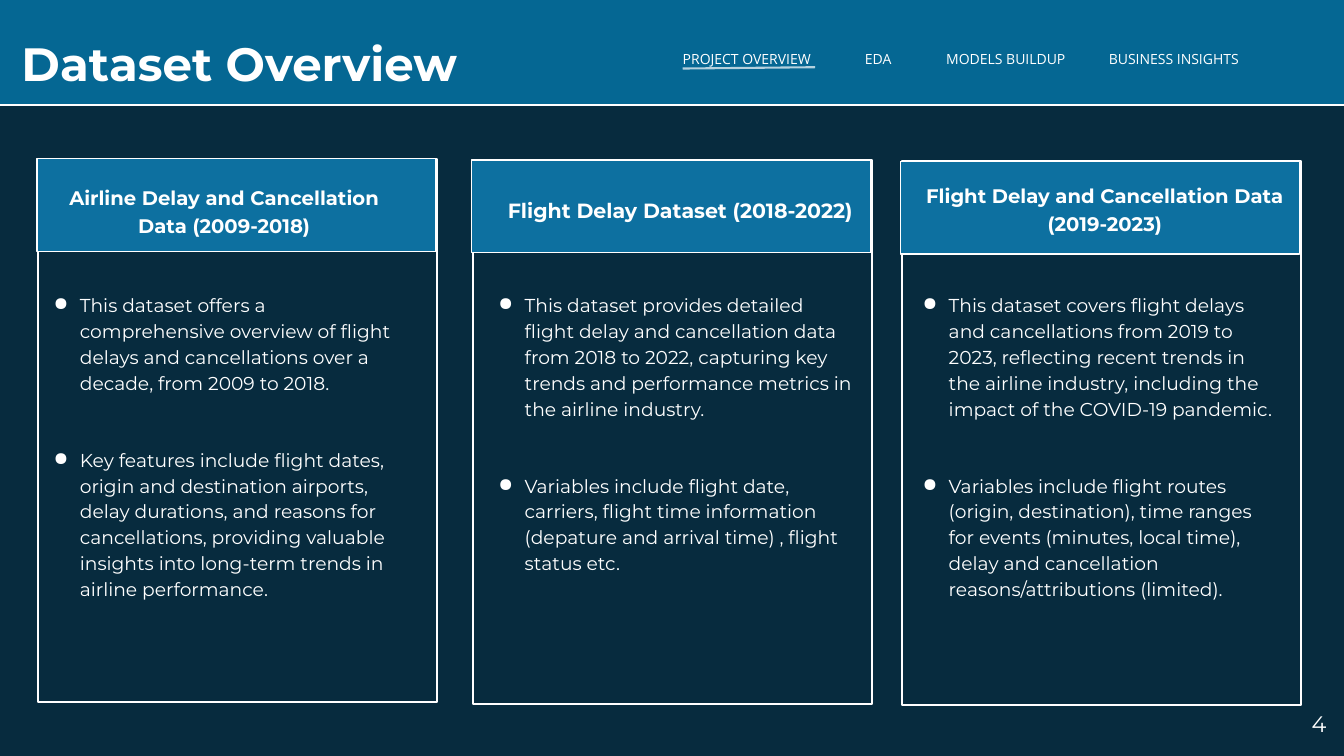
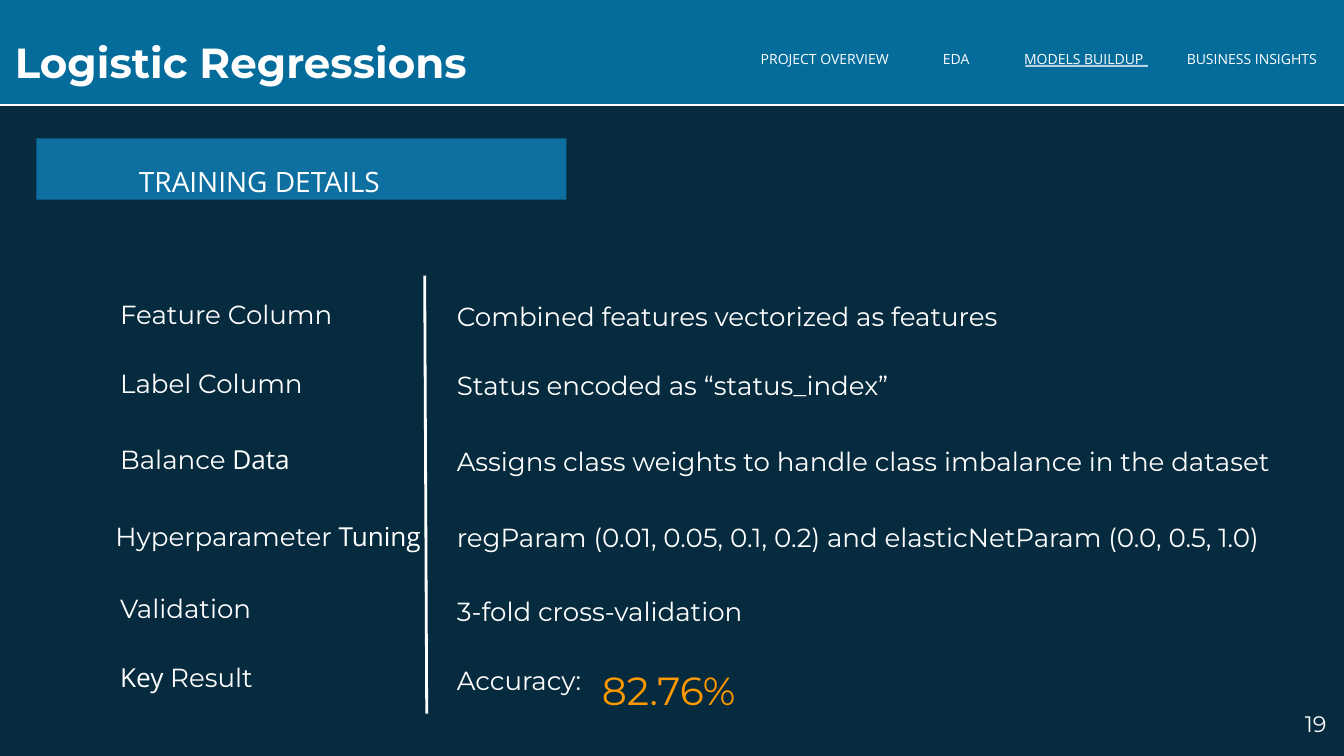
import lxml.etree
import pptx
import pptx.dml.color
import pptx.enum.shapes
import pptx.enum.text
import pptx.oxml.ns
import pptx.util

PX = 9144
WIDTH, HEIGHT = 2000, 1125
BAND = 157
COLORS = {"white": "FFFFFF", "body": "072B3E", "panel": "0D70A0", "accent": "FF9900",
          "overview_band": "056793", "models_band": "036C9B"}
HEAD, PLAIN = "Montserrat", "Open Sans"
NAV = ["PROJECT OVERVIEW", "EDA", "MODELS BUILDUP", "BUSINESS INSIGHTS"]
NAV_TABS = [271, 392, 634]
ALIGN = {"l": pptx.enum.text.PP_ALIGN.LEFT, "c": pptx.enum.text.PP_ALIGN.CENTER,
         "r": pptx.enum.text.PP_ALIGN.RIGHT}

CARDS = [
    {"x": 57, "y": 236, "title": "Airline Delay and Cancellation Data (2009-2018)",
     "title_box": (72, 259, 523, 98), "size": 21, "align": "c", "list_x": 59,
     "points": ["This dataset offers a comprehensive overview of flight delays and cancellations "
                "over a decade, from 2009 to 2018.",
                "Key features include flight dates, origin and destination airports, delay "
                "durations, and reasons for cancellations, providing valuable insights into "
                "long-term trends in airline performance."]},
    {"x": 704, "y": 238, "title": "Flight Delay Dataset (2018-2022)",
     "title_box": (746, 277, 560, 57), "size": 22, "align": "l", "list_x": 721,
     "points": ["This dataset provides detailed flight delay and cancellation data from 2018 to "
                "2022, capturing key trends and performance metrics in the airline industry.",
                "Variables include flight date, carriers, flight time information (depature and "
                "arrival time) , flight status etc."]},
    {"x": 1342, "y": 240, "title": "Flight Delay and Cancellation Data (2019-2023)",
     "title_box": (1347, 256, 594, 98), "size": 21, "align": "c", "list_x": 1352,
     "points": ["This dataset covers flight delays and cancellations from 2019 to 2023, "
                "reflecting recent trends in the airline industry, including the impact of the "
                "COVID-19 pandemic.",
                "Variables include flight routes (origin, destination), time ranges for events "
                "(minutes, local time), delay and cancellation reasons/attributions (limited)."]},
]

DETAILS = [
    (416, 418, "Feature Column", "Combined features vectorized as features"),
    (518, 521, "Label Column", "Status encoded as “status_index”"),
    (631, 634, [("Balance", HEAD), (" Data", PLAIN)],
     "Assigns class weights to handle class imbalance in the dataset"),
    (746, 747, [("Hyperparameter", HEAD), (" Tuning", PLAIN)],
     "regParam (0.01, 0.05, 0.1, 0.2) and elasticNetParam (0.0, 0.5, 1.0)"),
    (853, 858, "Validation", "3-fold cross-validation"),
    (955, 960, [("Key ", PLAIN), ("Result", HEAD)], "Accuracy:"),
]


def rgb(name):
    return pptx.dml.color.RGBColor.from_string(COLORS[name])


def add_xml(parent, tag, **attrs):
    return lxml.etree.SubElement(parent, pptx.oxml.ns.qn(tag), attrs)


def write(p, text, size=20, font=HEAD, color="white", bold=False, align="l",
          spacing=None, before=None, bullet=None, tabs=()):
    pPr = p._p.get_or_add_pPr()
    if bullet:
        pPr.set("marL", str(50 * PX))
        pPr.set("indent", str(-39 * PX))
        add_xml(add_xml(pPr, "a:buClr"), "a:srgbClr", val=COLORS[color])
        add_xml(pPr, "a:buChar", char=bullet)
    if tabs:
        tab_list = add_xml(pPr, "a:tabLst")
        for stop in tabs:
            add_xml(tab_list, "a:tab", pos=str(stop * PX), algn="l")
    p.alignment = ALIGN[align]
    if spacing:
        p.line_spacing = spacing
    if before:
        p.space_before = pptx.util.Pt(before)
    for words, face in [(text, font)] if isinstance(text, str) else text:
        r = p.add_run()
        r.text = words
        r.font.size = pptx.util.Pt(size)
        r.font.name = face
        r.font.bold = bold
        r.font.color.rgb = rgb(color)


class Deck:
    def __init__(self):
        self.prs = pptx.Presentation()
        self.prs.slide_width = WIDTH * PX
        self.prs.slide_height = HEIGHT * PX
        self.s = None

    def slide(self, band, title, title_box, title_size, nav_x, underline, number):
        self.s = self.prs.slides.add_slide(self.prs.slide_layouts[6])
        fill = self.s.background.fill
        fill.solid()
        fill.fore_color.rgb = rgb(band)
        self.rect(0, BAND, WIDTH, HEIGHT - BAND, fill="body")
        self.line(0, 156, WIDTH, 156, 1.5)
        self.text(*title_box, title, inset=0, size=title_size, bold=True, spacing=1.2)
        self.text(nav_x, 65, WIDTH - nav_x, 25, "\t".join(NAV), inset=0,
                  size=15, font=PLAIN, spacing=1.4, tabs=NAV_TABS)
        self.line(*underline, 2.25, alpha=70)
        self.text(1872, 1039, 120, 86, str(number), inset=18, grow=False, size=24, align="r")

    def rect(self, x, y, w, h, fill=None, line=None):
        sp = self.s.shapes.add_shape(pptx.enum.shapes.MSO_SHAPE.RECTANGLE,
                                     x * PX, y * PX, w * PX, h * PX)
        sp.shadow.inherit = False
        if fill:
            sp.fill.solid()
            sp.fill.fore_color.rgb = rgb(fill)
        else:
            sp.fill.background()
        if line:
            sp.line.color.rgb = rgb("white")
            sp.line.width = pptx.util.Pt(line)
        else:
            sp.line.fill.background()

    def line(self, x1, y1, x2, y2, width, alpha=None):
        sp = self.s.shapes.add_connector(pptx.enum.shapes.MSO_CONNECTOR.STRAIGHT,
                                         x1 * PX, y1 * PX, x2 * PX, y2 * PX)
        sp.line.color.rgb = rgb("white")
        sp.line.width = pptx.util.Pt(width)
        spPr = sp._element.spPr
        if alpha:
            for clr in spPr.iter(pptx.oxml.ns.qn("a:srgbClr")):
                add_xml(clr, "a:alpha", val=str(alpha * 1000))
        add_xml(spPr, "a:effectLst")

    def frame(self, x, y, w, h, inset=10, grow=True):
        tf = self.s.shapes.add_textbox(x * PX, y * PX, w * PX, h * PX).text_frame
        tf.word_wrap = True
        tf.margin_left = tf.margin_right = tf.margin_top = tf.margin_bottom = inset * PX
        if grow:
            tf.auto_size = pptx.enum.text.MSO_AUTO_SIZE.SHAPE_TO_FIT_TEXT
        return tf

    def text(self, x, y, w, h, text, inset=10, grow=True, **style):
        write(self.frame(x, y, w, h, inset, grow).paragraphs[0], text, **style)

    def bullets(self, x, y, w, h, points):
        tf = self.frame(x, y, w, h)
        for i, point in enumerate(points):
            p = tf.add_paragraph() if i else tf.paragraphs[0]
            write(p, point, spacing=1.15, before=55 if i else None, bullet="●")

    def card(self, x, y, title, title_box, size, align, list_x, points):
        self.rect(x, y, 594, 809, line=2.25)
        self.rect(x - 2, y, 594, 138, fill="panel", line=1.5)
        self.text(*title_box, title, size=size, bold=True, align=align, spacing=1.2)
        self.bullets(list_x, 423, 557, 480, points)


def main():
    deck = Deck()

    deck.slide("overview_band", "Dataset Overview", (32, 35, 900, 84), 50,
               1016, (1016, 102, 1213, 100), 4)
    for card in CARDS:
        deck.card(**card)

    deck.slide("models_band", "Logistic Regressions", (22, 40, 900, 76), 45,
               1132, (1526, 98, 1708, 98), 19)
    deck.rect(54, 206, 789, 91, fill="panel")
    deck.text(197, 215, 640, 71, "TRAINING DETAILS", size=30, font=PLAIN, spacing=1.4)
    for label_y, value_y, label, value in DETAILS:
        label_x = 162 if label_y == 746 else 169
        deck.text(label_x, label_y, 500, 67, label, size=28, spacing=1.4)
        deck.text(670, value_y, 1310, 67, value, size=28, spacing=1.4)
    deck.line(635, 1062, 632, 410, 3)
    deck.text(886, 953, 313, 91, "82.76%", size=42, color="accent", spacing=1.4)

    deck.prs.save("out.pptx")


if __name__ == "__main__":
    main()
